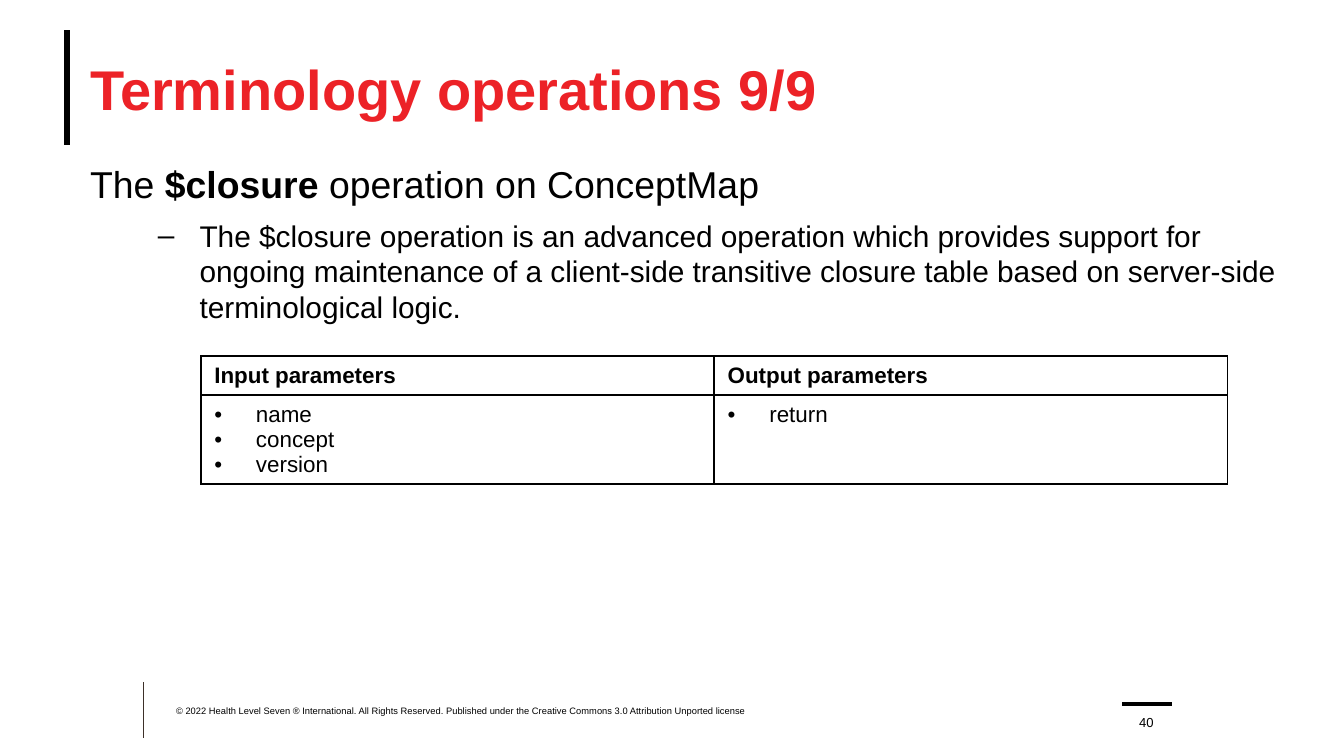
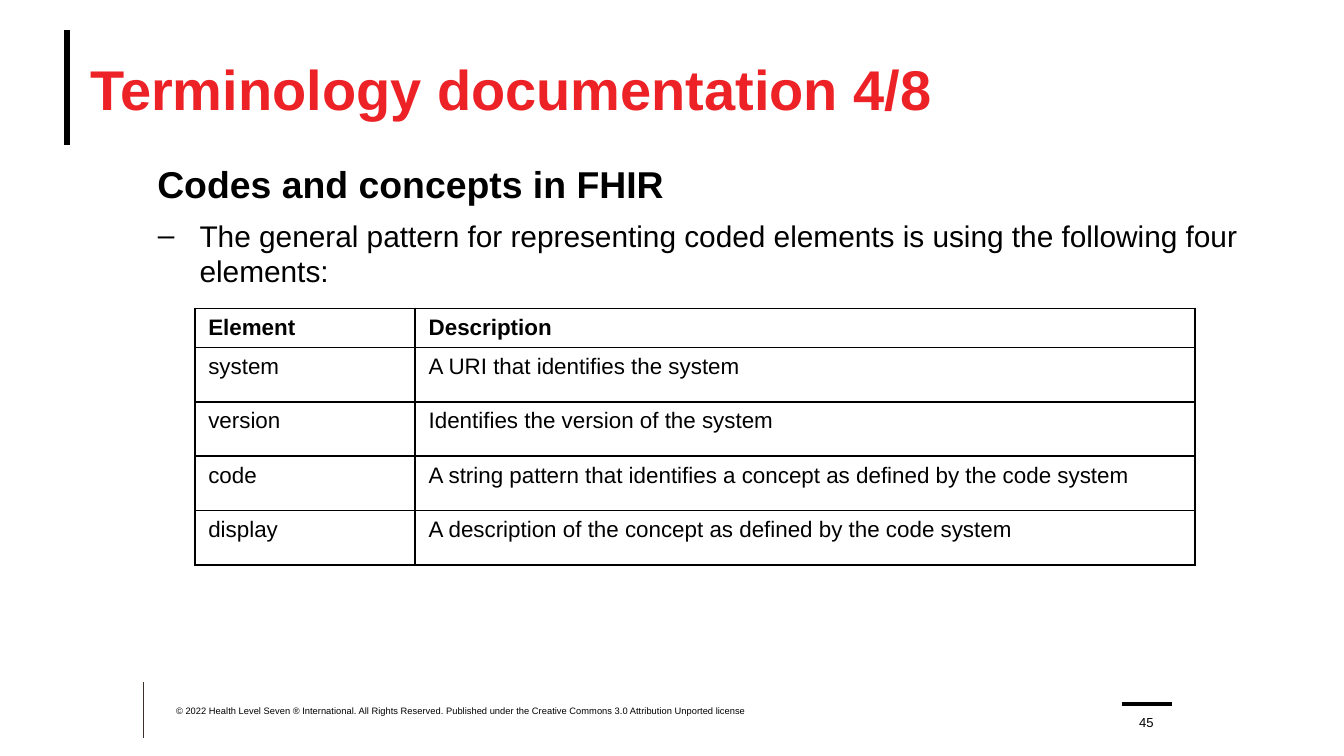
import pptx
import pptx.dml.color
import pptx.enum.shapes
import pptx.enum.text
import pptx.oxml
import pptx.oxml.ns
import pptx.util
from lxml import etree

# Shared look: the slide is 100 square grid units wide and 56.25 high
SLIDE_WIDTH = pptx.util.Inches(10)
SLIDE_HEIGHT = pptx.util.Emu(SLIDE_WIDTH * 9 // 16)
UNIT = SLIDE_WIDTH / 100
FONT = "Arial"
BLACK, RED, BROWN = "000000", "EC2227", "3D3029"
TEXT_LEFT, TEXT_WIDTH = 6.7, 90
TITLE_TOP = 2.25
HANGING = 3.1
COPYRIGHT = ("© 2022 Health Level Seven ® International. All Rights Reserved. "
             "Published under the Creative Commons 3.0 Attribution Unported license")
ANCHOR = pptx.enum.text.MSO_ANCHOR
ALIGN = pptx.enum.text.PP_ALIGN


def grid(count):
    return pptx.util.Emu(round(count * UNIT))


def color(hex_string):
    return pptx.dml.color.RGBColor.from_string(hex_string)


def add_element(parent, tag, **attributes):
    return etree.SubElement(parent, pptx.oxml.ns.qn(tag), attributes)


def style_font(font, size, hex_string=BLACK, bold=False):
    font.name = FONT
    font.size = pptx.util.Pt(size)
    font.bold = bold
    font.color.rgb = color(hex_string)


def set_bullet(paragraph, character=None, margin=0):
    """Indent a paragraph; hang its first line when it has a bullet."""
    properties = paragraph._p.get_or_add_pPr()
    properties.set("marL", str(grid(margin)))
    properties.set("indent", str(grid(-HANGING if character else 0)))
    if character:
        add_element(properties, "a:buFont", typeface=FONT)
        add_element(properties, "a:buChar", char=character)
    else:
        add_element(properties, "a:buNone")


def prepare_frame(shape, left, top, width, height, anchor):
    shape.left, shape.top = grid(left), grid(top)
    shape.width, shape.height = grid(width), grid(height)
    frame = shape.text_frame
    frame.margin_left = frame.margin_right = 0
    frame.margin_top = frame.margin_bottom = 0
    frame.word_wrap = True
    frame.auto_size = pptx.enum.text.MSO_AUTO_SIZE.NONE
    frame.vertical_anchor = anchor
    return frame


def add_line(slide, left, top, right, bottom, hex_string, weight):
    line = slide.shapes.add_connector(
        pptx.enum.shapes.MSO_CONNECTOR.STRAIGHT,
        grid(left), grid(top), grid(right), grid(bottom))
    line.line.color.rgb = color(hex_string)
    line.line.width = pptx.util.Pt(weight)
    add_element(line._element.spPr, "a:effectLst")


def add_label(slide, text, left, top, width, size, anchor, alignment):
    box = slide.shapes.add_textbox(0, 0, 0, 0)
    frame = prepare_frame(box, left, top, width, 1.7, anchor)
    paragraph = frame.paragraphs[0]
    paragraph.text = text
    paragraph.alignment = alignment
    style_font(paragraph.font, size)


def add_content_slide(presentation, title, number):
    """Slide with the title, its bar and the footer."""
    slide = presentation.slides.add_slide(presentation.slide_layouts[1])
    add_line(slide, 5, TITLE_TOP, 5, 10.8, BLACK, 3.25)
    add_line(slide, 10.7, 50.75, 10.7, 54.9, BROWN, 0.5)
    add_line(slide, 83.5, 52.4, 87.2, 52.4, BLACK, 2)

    frame = prepare_frame(slide.shapes.title, TEXT_LEFT, TITLE_TOP,
                          TEXT_WIDTH, 8.6, ANCHOR.MIDDLE)
    frame.text = title
    paragraph = frame.paragraphs[0]
    paragraph.alignment = ALIGN.LEFT
    style_font(paragraph.font, 30, RED, True)

    add_label(slide, COPYRIGHT, 13.1, 52.5, 49.5, 5, ANCHOR.TOP, ALIGN.LEFT)
    add_label(slide, str(number), 83.8, 52.6, 3, 7, ANCHOR.BOTTOM, ALIGN.CENTER)
    return slide


def fill_body(slide, heading_runs, heading_margin, detail):
    """Heading as (text, bold) runs, then one dashed paragraph."""
    frame = prepare_frame(slide.placeholders[1], TEXT_LEFT, 12,
                          TEXT_WIDTH, 38.9, ANCHOR.TOP)
    heading = frame.paragraphs[0]
    heading.level = 1 if heading_margin else 0
    set_bullet(heading, margin=heading_margin)
    heading.space_before = pptx.util.Pt(0)
    for text, bold in heading_runs:
        run = heading.add_run()
        run.text = text
        style_font(run.font, 20, bold=bold)

    dashed = frame.add_paragraph()
    dashed.text = detail
    dashed.level = 1
    set_bullet(dashed, "–", 8.15)
    dashed.space_before = pptx.util.Pt(6)
    style_font(dashed.font, 16)


def format_cell(cell, open_sides):
    """Black borders, except on the sides left open; no fill."""
    properties = cell._tc.get_or_add_tcPr()
    for side in "LRTB":
        border = add_element(properties, "a:ln" + side, w=str(pptx.util.Pt(1)))
        if side in open_sides:
            add_element(border, "a:noFill")
        else:
            fill = add_element(border, "a:solidFill")
            add_element(fill, "a:srgbClr", val=BLACK)
    cell.fill.background()


def write_cell(cell, lines, bold, bullet):
    cell.text = "\n".join(lines)
    for paragraph in cell.text_frame.paragraphs:
        if bullet:
            set_bullet(paragraph, bullet, HANGING)
        style_font(paragraph.font, 12, bold=bold)


def add_grid_table(slide, left, top, columns, row_heights, rows,
                   span=1, bullet=None):
    """Bordered table; each entry of a row takes a group of span columns.

    Header groups are merged, body groups only share one outline.
    """
    table = slide.shapes.add_table(
        len(row_heights), len(columns), grid(left), grid(top),
        grid(sum(columns)), grid(sum(row_heights))).table
    table.horz_banding = False
    for column, width in zip(table.columns, columns):
        column.width = grid(width)
    for row_index, (height, entries) in enumerate(zip(row_heights, rows)):
        table.rows[row_index].height = grid(height)
        header = row_index == 0
        for column_index in range(len(columns)):
            group, offset = divmod(column_index, span)
            cell = table.cell(row_index, column_index)
            open_sides = "" if header else (
                ("L" if offset > 0 else "") + ("R" if offset < span - 1 else ""))
            format_cell(cell, open_sides)
            lines = entries[group] if offset == 0 else [""]
            write_cell(cell, lines, header,
                       bullet if offset == 0 and not header else None)
        if header and span > 1:
            for first in range(0, len(columns), span):
                table.cell(0, first).merge(table.cell(0, first + span - 1))


def add_closure_slide(presentation):
    slide = add_content_slide(presentation, "Terminology operations 9/9", 40)
    fill_body(
        slide,
        [("The ", False), ("$closure", True), (" operation on ConceptMap", False)],
        0,
        "The $closure operation is an advanced operation which provides support "
        "for ongoing maintenance of a client-side transitive closure table based "
        "on server-side terminological logic.")
    add_grid_table(
        slide, 14.95, 26.5, [17.9, 20.3, 19, 19.2], [2.9, 6.6],
        [[["Input parameters"], ["Output parameters"]],
         [["name", "concept", "version"], ["return"]]],
        span=2, bullet="•")


def add_codes_slide(presentation):
    slide = add_content_slide(presentation, "Terminology documentation 4/8", 45)
    fill_body(
        slide, [("Codes and concepts in FHIR", True)], 5,
        "The general pattern for representing coded elements is using the "
        "following four elements:")
    elements = [
        ("Element", "Description"),
        ("system", "A URI that identifies the system"),
        ("version", "Identifies the version of the system"),
        ("code", "A string pattern that identifies a concept as defined by the code system"),
        ("display", "A description of the concept as defined by the code system"),
    ]
    add_grid_table(slide, 14.5, 22.95, [16.4, 58], [2.9] + [4.05] * 4,
                   [[[text] for text in row] for row in elements])


def main():
    presentation = pptx.Presentation()
    presentation.slide_width = SLIDE_WIDTH
    presentation.slide_height = SLIDE_HEIGHT
    add_closure_slide(presentation)
    add_codes_slide(presentation)
    presentation.save("out.pptx")


if __name__ == "__main__":
    main()
